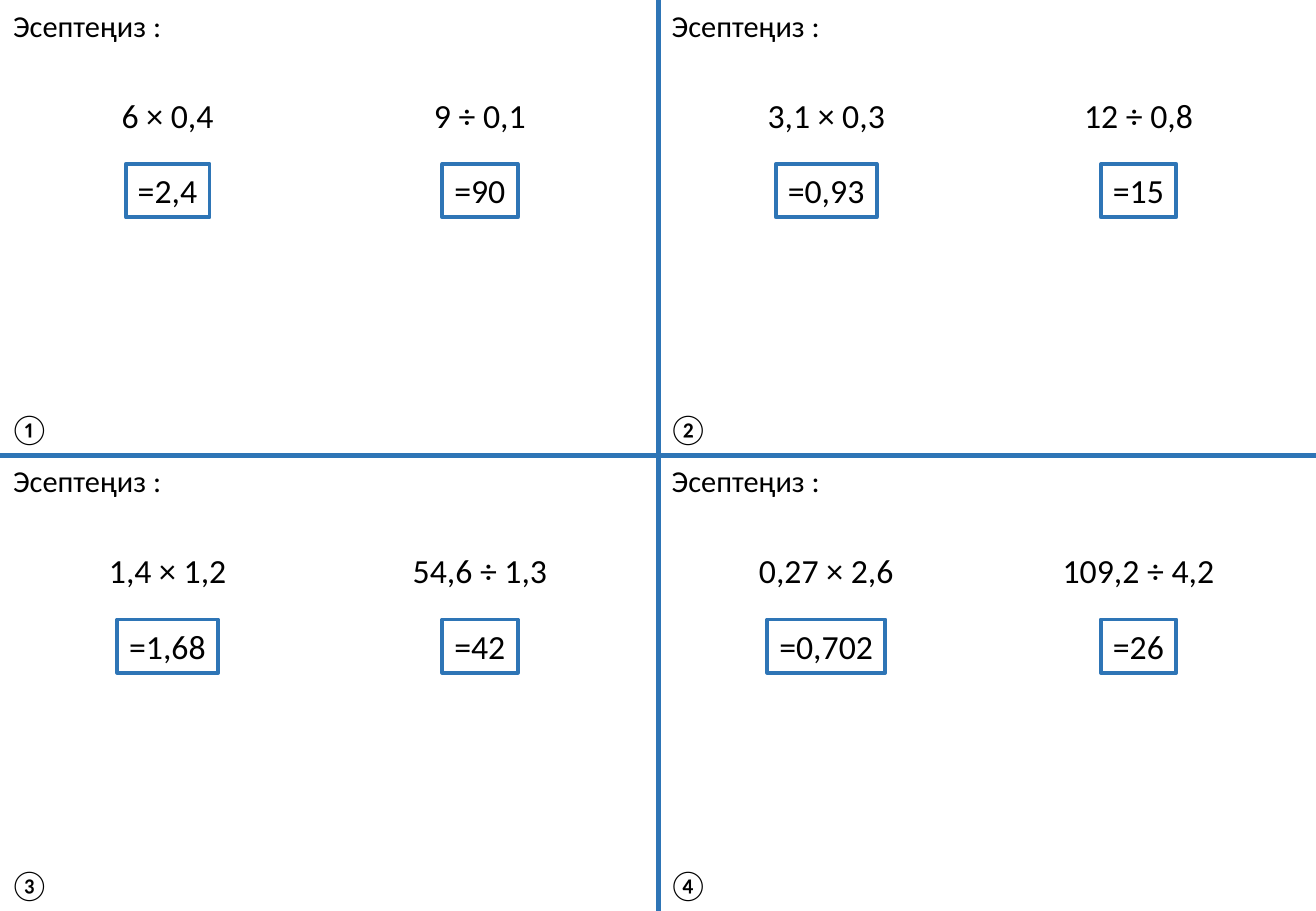
from dataclasses import dataclass

from pptx import Presentation
from pptx.dml.color import RGBColor
from pptx.enum import shapes, text
from pptx.oxml.ns import qn
from pptx.slide import Slide
from pptx.util import Inches, Pt
from lxml import etree

BLUE = RGBColor(0x2E, 0x75, 0xB6)
WHITE = RGBColor(0xFF, 0xFF, 0xFF)
BLACK = RGBColor(0, 0, 0)
FONT = "Calibri"

SLIDE_WIDTH, SLIDE_HEIGHT = 10.83, 7.5
CARD_WIDTH, CARD_HEIGHT = 5.42, 3.75
TASK_CENTRES = (1.38, 3.95)  # from the left edge of a card


@dataclass(frozen=True)
class Task:
    question: str
    answer: str


@dataclass(frozen=True)
class Card:
    number: str
    tasks: tuple[Task, Task]


CARDS = (
    Card("①", (Task("6 × 0,4", "=2,4"), Task("9 ÷ 0,1", "=90"))),
    Card("②", (Task("3,1 × 0,3", "=0,93"), Task("12 ÷ 0,8", "=15"))),
    Card("③", (Task("1,4 × 1,2", "=1,68"), Task("54,6 ÷ 1,3", "=42"))),
    Card("④", (Task("0,27 × 2,6", "=0,702"), Task("109,2 ÷ 4,2", "=26"))),
)


def text_width(content: str) -> float:
    """Width of a 20 pt expression with its side margins, in inches."""
    return 0.2 + sum(0.07 if character in " ," else 0.14 for character in content)


def add_text(slide: Slide, content: str, left: float, top: float, width: float,
             height: float, *, size: int = 18, boxed: bool = False,
             align: text.PP_ALIGN = text.PP_ALIGN.LEFT) -> None:
    place = [Inches(value) for value in (left, top, width, height)]
    if boxed:
        shape = slide.shapes.add_shape(shapes.MSO_SHAPE.RECTANGLE, *place)
        shape.shadow.inherit = False
        shape.fill.solid()
        shape.fill.fore_color.rgb = WHITE
        shape.line.color.rgb = BLUE
        shape.line.width = Pt(2.25)
    else:
        shape = slide.shapes.add_textbox(*place)
    frame = shape.text_frame
    frame.word_wrap = False
    frame.auto_size = text.MSO_AUTO_SIZE.SHAPE_TO_FIT_TEXT
    frame.vertical_anchor = text.MSO_ANCHOR.TOP
    paragraph = frame.paragraphs[0]
    paragraph.alignment = align
    run = paragraph.add_run()
    run.text = content
    run.font.name = FONT
    run.font.size = Pt(size)
    run.font.color.rgb = BLACK


def add_divider(slide: Slide, x1: float, y1: float, x2: float, y2: float) -> None:
    line = slide.shapes.add_connector(
        shapes.MSO_CONNECTOR.STRAIGHT, Inches(x1), Inches(y1), Inches(x2), Inches(y2))
    line.line.color.rgb = BLUE
    line.line.width = Pt(3)
    etree.SubElement(line._element.spPr, qn("a:effectLst"))


def add_card(slide: Slide, card: Card, left: float, top: float) -> None:
    add_text(slide, "Эсептеңиз :", left + 0.01, top + 0.01, 1.44, 0.4)
    for task, centre in zip(card.tasks, TASK_CENTRES):
        width = text_width(task.question)
        add_text(slide, task.question, left + centre - width / 2, top + 0.73,
                 width, 0.44, size=20, align=text.PP_ALIGN.CENTER)
        width = text_width(task.answer)
        add_text(slide, task.answer, left + centre - width / 2, top + 1.35,
                 width, 0.44, size=20, boxed=True, align=text.PP_ALIGN.JUSTIFY)
    add_text(slide, card.number, left - 0.02, top + 3.33, 0.54, 0.4)


def main() -> None:
    presentation = Presentation()
    presentation.slide_width = Inches(SLIDE_WIDTH)
    presentation.slide_height = Inches(SLIDE_HEIGHT)
    slide = presentation.slides.add_slide(presentation.slide_layouts[6])

    # Lines between the four cards
    add_divider(slide, CARD_WIDTH, 0, CARD_WIDTH, SLIDE_HEIGHT)
    add_divider(slide, SLIDE_WIDTH, CARD_HEIGHT, 0, CARD_HEIGHT)

    # Cards in two rows of two
    for index, card in enumerate(CARDS):
        row, column = divmod(index, 2)
        add_card(slide, card, column * CARD_WIDTH, row * CARD_HEIGHT)

    presentation.save("out.pptx")


if __name__ == "__main__":
    main()
